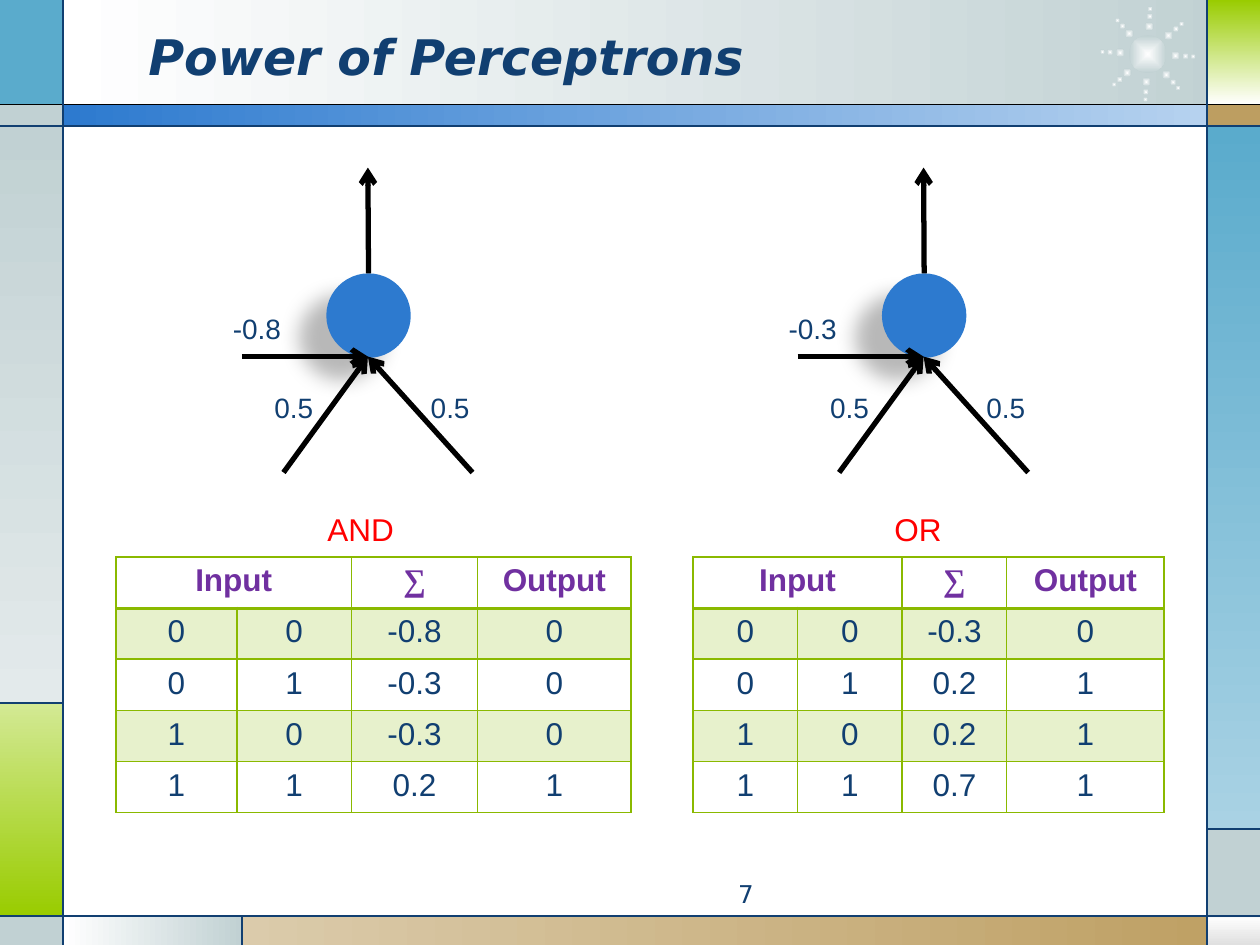
from dataclasses import dataclass
from math import cos, radians, sin

from pptx import Presentation
from pptx.dml.color import RGBColor
from pptx.enum import shapes as kinds, text as txt
from pptx.oxml import parse_xml
from pptx.oxml.ns import nsdecls, qn
from pptx.util import Inches, Pt

NAVY = RGBColor(0x11, 0x3F, 0x71)
BLUE = RGBColor(0x2D, 0x7A, 0xCF)
PALE = RGBColor(0xB6, 0xD2, 0xEF)
TEAL = RGBColor(0x5A, 0xAB, 0xCC)
AQUA = RGBColor(0xA9, 0xD2, 0xE4)
GREY = RGBColor(0xC1, 0xD1, 0xD3)
MIST = RGBColor(0xE3, 0xEA, 0xEB)
LIME = RGBColor(0x99, 0xCC, 0x00)
MINT = RGBColor(0xD3, 0xE9, 0x94)
TAN = RGBColor(0xBD, 0x9E, 0x61)
SAND = RGBColor(0xDB, 0xCB, 0xAB)
SMOKE = RGBColor(0xE0, 0xE0, 0xE0)
WHITE = RGBColor(0xFF, 0xFF, 0xFF)
BLACK = RGBColor(0x00, 0x00, 0x00)
RED = RGBColor(0xFF, 0x00, 0x00)
PURPLE = RGBColor(0x70, 0x30, 0xA0)
GREEN = RGBColor(0x8A, 0xB9, 0x00)

ACROSS, DOWN = 0, 270  # counter-clockwise gradient angles


@dataclass
class Panel:
    left: float
    top: float
    width: float
    height: float
    tone: RGBColor
    fade: RGBColor | None = None
    angle: int = ACROSS


@dataclass
class Gate:
    name: str
    mid: float  # centre of the neuron
    name_x: float
    bias: str
    left: float  # left edge of the table
    cols: list[float]
    sums: list[str]
    outs: str


PANELS = [
    Panel(0.5, 0, 9.27, 0.84, WHITE, GREY),
    Panel(0, 0, 0.5, 0.84, TEAL),
    Panel(0, 0.83, 0.5, 0.17, GREY),
    Panel(0, 1, 0.5, 4.58, GREY, MIST, DOWN),
    Panel(0, 5.58, 0.5, 1.69, MINT, LIME, DOWN),
    Panel(0, 7.27, 0.5, 0.23, GREY),
    Panel(0.5, 7.27, 1.42, 0.23, WHITE, GREY),
    Panel(1.92, 7.27, 8.08, 0.23, SAND, TAN),
    Panel(9.58, 7.27, 0.42, 0.23, WHITE, SMOKE, DOWN),
    Panel(9.58, 6.58, 0.42, 0.7, GREY),
    Panel(9.58, 1, 0.42, 5.58, TEAL, AQUA, DOWN),
    Panel(9.58, 0.83, 0.42, 0.17, TAN),
    Panel(9.58, 0, 0.42, 0.83, LIME, WHITE, DOWN),
    Panel(0.5, 0.83, 9.08, 0.17, BLUE, PALE),
]
RULES = [
    (0, 1, 10, 1), (0, 7.27, 10, 7.27), (0.5, 0, 0.5, 7.5), (9.58, 0, 9.58, 7.5),
    (0, 5.58, 0.5, 5.58), (1.92, 7.27, 1.92, 7.5), (9.58, 6.58, 10, 6.58),
]
GATES = [
    Gate("AND", 2.92, 2.5, "-0.8", 0.92, [0.96, 0.91, 1, 1.22],
         ["-0.8", "-0.3", "-0.3", "0.2"], "0001"),
    Gate("OR", 7.33, 7, "-0.3", 5.5, [0.83, 0.83, 0.83, 1.25],
         ["-0.3", "0.2", "0.2", "0.7"], "0111"),
]
INPUTS = ["00", "01", "10", "11"]


def add_shape(slide, kind, left: float, top: float, width: float, height: float):
    shape = slide.shapes.add_shape(
        kind, Inches(left), Inches(top), Inches(width), Inches(height))
    shape.shadow.inherit = False
    shape.line.fill.background()
    return shape


def set_fade(shape, start: RGBColor, end: RGBColor, angle: int = ACROSS) -> None:
    shape.fill.gradient()
    shape.fill.gradient_angle = angle
    for stop, tone in zip(shape.fill.gradient_stops, (start, end)):
        stop.color.rgb = tone


def add_panel(slide, panel: Panel) -> None:
    shape = add_shape(slide, kinds.MSO_SHAPE.RECTANGLE,
                      panel.left, panel.top, panel.width, panel.height)
    if panel.fade is None:
        shape.fill.solid()
        shape.fill.fore_color.rgb = panel.tone
    else:
        set_fade(shape, panel.tone, panel.fade, panel.angle)


def add_dot(slide, x: float, y: float, size: float) -> None:
    """Add a disc that glows from its centre."""
    dot = add_shape(slide, kinds.MSO_SHAPE.OVAL, x - size / 2, y - size / 2, size, size)
    set_fade(dot, WHITE, GREY)
    grad = dot._element.spPr.find(qn("a:gradFill"))
    grad.replace(grad.find(qn("a:lin")), parse_xml(
        f'<a:path {nsdecls("a")} path="shape">'
        '<a:fillToRect l="50000" t="50000" r="50000" b="50000"/></a:path>'))


def add_burst(slide, x: float, y: float) -> None:
    add_dot(slide, x, y, 0.3)
    for ray in range(8):
        turn = radians(45 * ray + 3)
        for reach, size in ((0.3, 0.05), (0.36, 0.04), (0.22, 0.07)):
            add_dot(slide, x + reach * cos(turn), y + reach * sin(turn), size)


def add_line(slide, x1: float, y1: float, x2: float, y2: float,
             tone: RGBColor = NAVY, width: float = 0.75, arrow: bool = False):
    line = slide.shapes.add_connector(
        kinds.MSO_CONNECTOR.STRAIGHT, Inches(x1), Inches(y1), Inches(x2), Inches(y2))
    line.line.color.rgb = tone
    line.line.width = Pt(width)
    if arrow:
        line.line._get_or_add_ln().append(
            parse_xml(f'<a:tailEnd {nsdecls("a")} type="arrow"/>'))
    line._element.spPr.append(parse_xml(f'<a:effectLst {nsdecls("a")}/>'))
    return line


def set_font(para, size: int, tone: RGBColor, face: str = "Arial",
             bold: bool = False, italic: bool = False) -> None:
    font = para.font
    font.name, font.size, font.bold, font.italic = face, Pt(size), bold, italic
    font.color.rgb = tone


def add_text(slide, words: str, left: float, top: float, width: float, height: float,
             size: int, tone: RGBColor = NAVY, wrap: bool = False, **style):
    box = slide.shapes.add_textbox(
        Inches(left), Inches(top), Inches(width), Inches(height))
    frame = box.text_frame
    frame.word_wrap = wrap
    frame.text = words
    set_font(frame.paragraphs[0], size, tone, **style)
    return frame


def add_neuron(slide, gate: Gate) -> None:
    mid, foot = gate.mid, 2.83
    ball = add_shape(slide, kinds.MSO_SHAPE.OVAL, mid - 0.33, 2.17, 0.67, 0.67)
    ball.fill.solid()
    ball.fill.fore_color.rgb = BLUE
    ball._element.spPr.find(qn("a:effectLst")).append(parse_xml(
        f'<a:outerShdw {nsdecls("a")} blurRad="{Pt(11.8)}" dist="{Pt(19.7)}" '
        f'dir="{141 * 60000}" algn="ctr" rotWithShape="0">'
        '<a:srgbClr val="000000"><a:alpha val="28000"/></a:srgbClr></a:outerShdw>'))
    for x, y in ((mid - 0.67, 3.75), (mid + 0.83, 3.75), (mid - 1, foot)):
        add_line(slide, x, y, mid, foot, BLACK, 3, arrow=True)
    axon = add_line(slide, mid, 2.17, mid, 1.33, BLACK, 3, arrow=True)
    axon.begin_connect(ball, 0)
    add_text(slide, gate.bias, mid - 1.17, 2.42, 0.59, 0.37, 16)
    for shift in (-0.84, 0.4):
        add_text(slide, "0.5", mid + shift, 3.05, 0.51, 0.37, 16)


def set_cell(cell, words: str, head: bool, tint: bool) -> None:
    props = cell._tc.get_or_add_tcPr()
    for side in "LRTB":
        width = Pt(2 if head and side == "B" else 1)
        props.append(parse_xml(
            f'<a:ln{side} {nsdecls("a")} w="{width}"><a:solidFill>'
            f'<a:srgbClr val="{GREEN}"/></a:solidFill></a:ln{side}>'))
    if tint:
        cell.fill.solid()
        cell.fill.fore_color.rgb = GREEN
        props.find(qn("a:solidFill"))[0].append(
            parse_xml(f'<a:alpha {nsdecls("a")} val="20000"/>'))
    else:
        cell.fill.background()
    cell.text = words
    para = cell.text_frame.paragraphs[0]
    para.alignment = txt.PP_ALIGN.CENTER
    face = "Times New Roman" if words == "∑" else "Arial"
    set_font(para, 18, PURPLE if head else NAVY, face, bold=head)


def add_truth(slide, gate: Gate) -> None:
    """Add the truth table of a gate."""
    rows = [["Input", "", "∑", "Output"]]
    rows += [[*pair, total, out]
             for pair, total, out in zip(INPUTS, gate.sums, gate.outs)]
    table = slide.shapes.add_table(
        len(rows), len(gate.cols), Inches(gate.left), Inches(4.42),
        Inches(sum(gate.cols)), Inches(2.03)).table
    table.horz_banding = False
    for col, width in zip(table.columns, gate.cols):
        col.width = Inches(width)
    for r, row in enumerate(rows):
        for c, words in enumerate(row):
            set_cell(table.cell(r, c), words, head=r == 0, tint=r % 2 == 1)
    table.cell(0, 0).merge(table.cell(0, 1))


def main() -> None:
    deck = Presentation()
    deck.slide_width, deck.slide_height = Inches(10), Inches(7.5)
    slide = deck.slides.add_slide(deck.slide_layouts[6])
    for panel in PANELS:
        add_panel(slide, panel)
    add_burst(slide, 9.11, 0.43)
    add_line(slide, 0, 0.83, 10, 0.83, BLACK)
    for rule in RULES:
        add_line(slide, *rule)
    title = add_text(slide, "Power of Perceptrons", 1.08, 0.13, 8.33, 0.62, 28,
                     wrap=True, face="DejaVu Sans", bold=True, italic=True)
    title.vertical_anchor = txt.MSO_ANCHOR.MIDDLE
    page = add_text(slide, "7", 3.75, 6.93, 2.33, 0.27, 14,
                    wrap=True, face="DejaVu Sans")
    page.paragraphs[0].alignment = txt.PP_ALIGN.RIGHT
    for gate in GATES:
        add_neuron(slide, gate)
        add_truth(slide, gate)
        add_text(slide, gate.name, gate.name_x, 4, 0.73 if gate.name == "AND" else 0.58,
                 0.4, 18, RED)
    deck.save("out.pptx")


if __name__ == "__main__":
    main()
